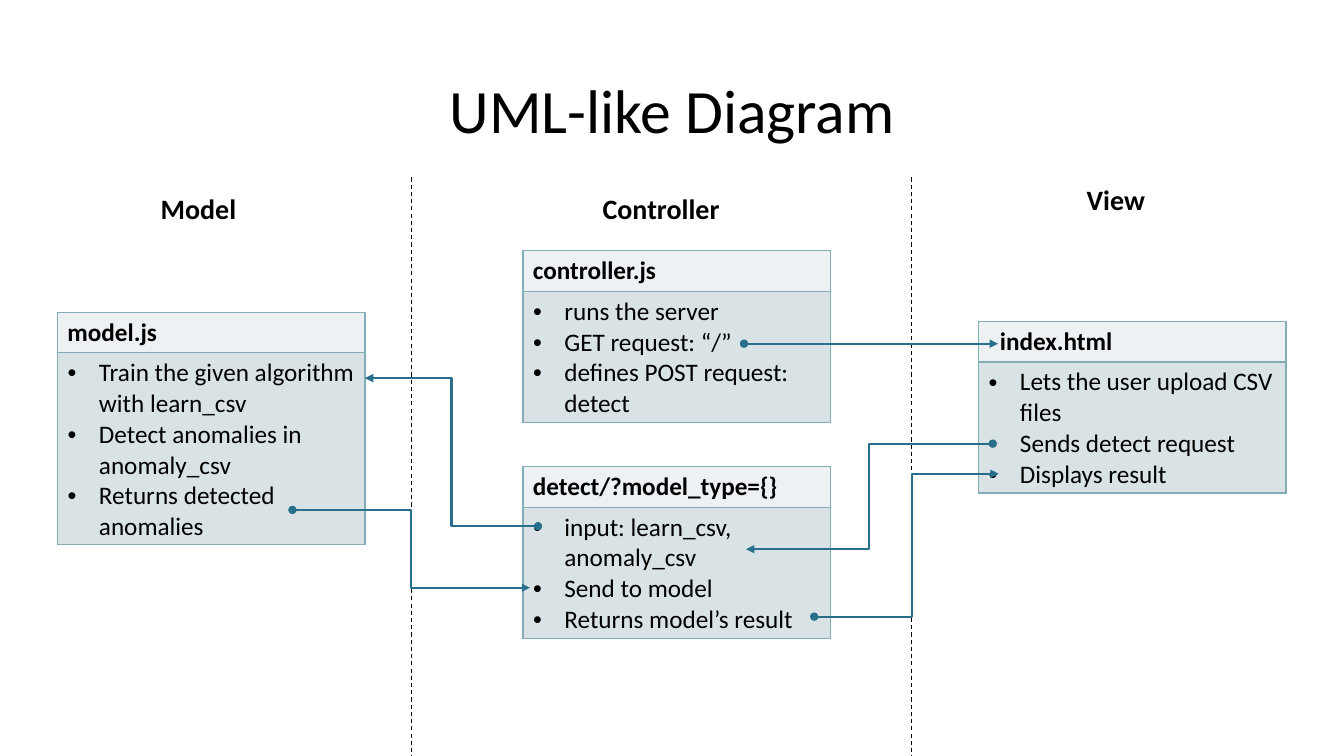
from dataclasses import dataclass
from typing import Optional

from lxml.etree import SubElement
from pptx import Presentation
from pptx.dml.color import RGBColor
from pptx.enum.dml import MSO_LINE
from pptx.enum.shapes import MSO_CONNECTOR
from pptx.enum.text import MSO_ANCHOR, PP_ALIGN
from pptx.oxml.ns import qn
from pptx.util import Cm, Pt


@dataclass(frozen=True)
class Theme:
    """Colours, font and type sizes of the slide."""
    font: str = "Calibri"
    text: str = "000000"
    header_fill: str = "EDF1F3"
    body_fill: str = "D9E3E5"
    border: str = "84ACB6"
    arrow: str = "276F8B"
    title_size: int = 44
    label_size: int = 20
    card_size: int = 18


@dataclass(frozen=True)
class Label:
    """Heading of one zone, placed in centimetres."""
    text: str
    left: float
    top: float


@dataclass(frozen=True)
class Card:
    """Two-row table: a file or route and its duties, in centimetres."""
    name: str
    duties: tuple[str, ...]
    left: float
    top: float
    body_height: float = 3.3
    name_margin: float = 0.25


@dataclass(frozen=True)
class Flow:
    """Arrow from a dot to a head; bend is the turning point in 1/100000."""
    start: tuple[float, float]
    end: tuple[float, float]
    bend: Optional[int] = None


THEME = Theme()
SLIDE_WIDTH, SLIDE_HEIGHT = 33.87, 19.05
CARD_WIDTH, HEADER_HEIGHT = 7.75, 1.02
LABEL_WIDTH, LABEL_HEIGHT = 6.86, 1.12
BULLET_INDENT = Cm(0.79)
DIVIDER_TOP = 4.47
DIVIDERS = (10.36, 22.96)
LABELS = (
    Label("Model", 1.57, 4.7),
    Label("Controller", 13.23, 4.7),
    Label("View", 24.69, 4.47),
)
CARDS = (
    Card("controller.js",
         ("runs the server", "GET request: “/”", "defines POST request: detect"),
         13.18, 6.32),
    Card("detect/?model_type={}",
         ("input: learn_csv, anomaly_csv", "Send to model", "Returns model’s result"),
         13.18, 11.76),
    Card("index.html",
         ("Lets the user upload CSV files", "Sends detect request", "Displays result"),
         24.66, 8.1, name_margin=0.54),
    Card("model.js",
         ("Train the given algorithm with learn_csv", "Detect anomalies in anomaly_csv",
          "Returns detected anomalies"),
         1.45, 7.87, body_height=4.83),
)
FLOWS = (
    Flow((25.02, 11.18), (18.8, 13.84)),
    Flow((13.56, 13.26), (9.2, 9.53)),
    Flow((7.37, 12.85), (13.36, 14.81)),
    Flow((20.52, 15.54), (25.17, 11.94), bend=53100),
    Flow((18.75, 8.66), (25.15, 8.66)),
)


def add_run(paragraph, text: str, size: int, bold: bool = False) -> None:
    """Append one formatted run to a paragraph."""
    run = paragraph.add_run()
    run.text = text
    run.font.name = THEME.font
    run.font.size = Pt(size)
    run.font.bold = bold
    run.font.color.rgb = RGBColor.from_string(THEME.text)


def add_title(slide, text: str) -> None:
    """Move and fill the title placeholder."""
    title = slide.shapes.title
    title.left, title.top, title.width, title.height = Cm(2.34), Cm(1.02), Cm(29.21), Cm(3.68)
    title.text_frame.vertical_anchor = MSO_ANCHOR.MIDDLE
    paragraph = title.text_frame.paragraphs[0]
    paragraph.alignment = PP_ALIGN.CENTER
    paragraph.line_spacing = 0.9
    add_run(paragraph, text, THEME.title_size)


def add_label(slide, label: Label) -> None:
    """Add a centred zone heading."""
    shape = slide.shapes.add_textbox(
        Cm(label.left), Cm(label.top), Cm(LABEL_WIDTH), Cm(LABEL_HEIGHT))
    shape.text_frame.word_wrap = True
    paragraph = shape.text_frame.paragraphs[0]
    paragraph.alignment = PP_ALIGN.CENTER
    add_run(paragraph, label.text, THEME.label_size, bold=True)


def add_line(slide, kind, start: tuple[float, float], end: tuple[float, float],
             color: str, width: float):
    """Add a connector without shadow and return it."""
    connector = slide.shapes.add_connector(kind, *map(Cm, start + end))
    connector.line.color.rgb = RGBColor.from_string(color)
    connector.line.width = Pt(width)
    SubElement(connector.element.spPr, qn("a:effectLst"))
    return connector


def add_divider(slide, left: float) -> None:
    """Add a dashed border between two zones."""
    divider = add_line(slide, MSO_CONNECTOR.STRAIGHT, (left, DIVIDER_TOP),
                       (left, SLIDE_HEIGHT), THEME.text, 0.75)
    divider.line.dash_style = MSO_LINE.DASH


def add_flow(slide, flow: Flow) -> None:
    """Add an arrow with a dot at its start, level ones being straight."""
    level = flow.start[1] == flow.end[1]
    kind = MSO_CONNECTOR.STRAIGHT if level else MSO_CONNECTOR.ELBOW
    connector = add_line(slide, kind, flow.start, flow.end, THEME.arrow, 1.5)
    line = connector.line.fill and connector.element.spPr.find(qn("a:ln"))
    SubElement(line, qn("a:headEnd"), type="oval")
    SubElement(line, qn("a:tailEnd"), type="triangle")
    if flow.bend is not None:
        guides = connector.element.spPr.find(qn("a:prstGeom")).get_or_add_avLst()
        SubElement(guides, qn("a:gd"), name="adj1", fmla=f"val {flow.bend}")


def style_cell(cell, fill: str) -> None:
    """Draw the four borders of a cell and fill it."""
    properties = cell._tc.get_or_add_tcPr()
    for side in ("lnL", "lnR", "lnT", "lnB"):
        border = SubElement(properties, qn(f"a:{side}"), w=str(Pt(1)))
        SubElement(SubElement(border, qn("a:solidFill")), qn("a:srgbClr"), val=THEME.border)
    cell.fill.solid()
    cell.fill.fore_color.rgb = RGBColor.from_string(fill)


def add_bullet(paragraph) -> None:
    """Give a paragraph a hanging bullet."""
    properties = paragraph._p.get_or_add_pPr()
    properties.set("marL", str(BULLET_INDENT))
    properties.set("indent", str(-BULLET_INDENT))
    SubElement(properties, qn("a:buFont"), typeface="Arial")
    SubElement(properties, qn("a:buChar"), char="•")


def add_card(slide, card: Card) -> None:
    """Add a table with a name row and a bulleted row."""
    heights = (HEADER_HEIGHT, card.body_height)
    table = slide.shapes.add_table(2, 1, Cm(card.left), Cm(card.top),
                                   Cm(CARD_WIDTH), Cm(sum(heights))).table
    table.first_row = table.horz_banding = False
    for row, height in zip(table.rows, heights):
        row.height = Cm(height)
    header, body = table.cell(0, 0), table.cell(1, 0)
    style_cell(header, THEME.header_fill)
    style_cell(body, THEME.body_fill)
    header.margin_left = Cm(card.name_margin)
    add_run(header.text_frame.paragraphs[0], card.name, THEME.card_size, bold=True)
    for index, duty in enumerate(card.duties):
        frame = body.text_frame
        paragraph = frame.add_paragraph() if index else frame.paragraphs[0]
        add_bullet(paragraph)
        add_run(paragraph, duty, THEME.card_size)


def main() -> None:
    """Build and save the slide."""
    presentation = Presentation()
    presentation.slide_width, presentation.slide_height = Cm(SLIDE_WIDTH), Cm(SLIDE_HEIGHT)
    slide = presentation.slides.add_slide(presentation.slide_layouts.get_by_name("Title Only"))
    add_title(slide, "UML-like Diagram")
    for left in DIVIDERS:
        add_divider(slide, left)
    for label in LABELS:
        add_label(slide, label)
    for card in CARDS:
        add_card(slide, card)
    for flow in FLOWS:
        add_flow(slide, flow)
    presentation.save("out.pptx")


main()
